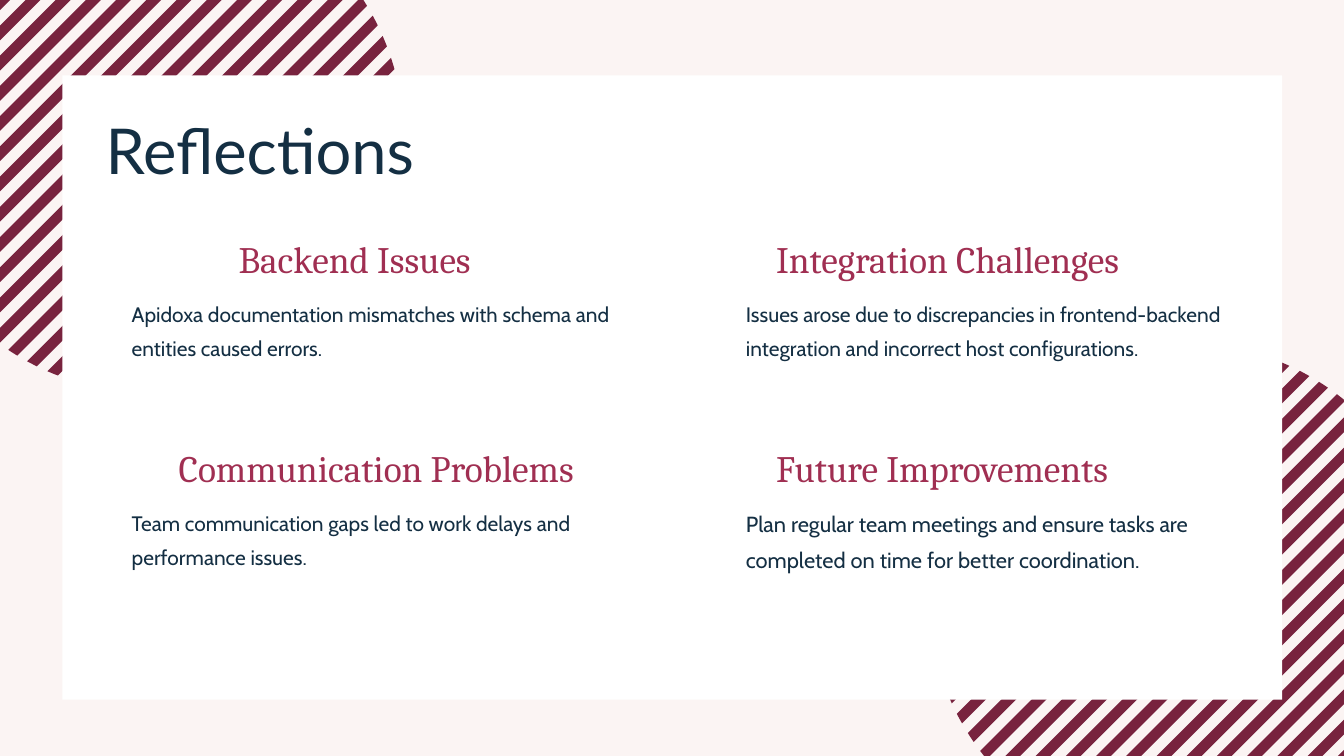
from math import acos, cos, pi, sin, sqrt

from pptx import Presentation
from pptx.dml.color import RGBColor as Rgb
from pptx.enum.shapes import MSO_SHAPE as Kind
from pptx.enum.text import MSO_AUTO_SIZE as Fit
from pptx.util import Inches, Pt

# Square grid cells: 20 columns by 11.25 rows
COLS, ROWS = 20, 11.25
CELL = Inches(1)

PINK, WHITE, WINE, ROSE, NAVY = "FBF4F3", "FFFFFF", "78233E", "A02F52", "142F43"

# Striped discs
RADIUS = 3.79
BANDS, START, STEP, THICK = 24, -5.24, 0.45, 0.22
ARC = 6

# Text rows: heading top, body top
TOPS = [(3.41, 4.35), (6.51, 7.46)]

# Heading, its column and width; body, its column, width, size and leading
TOPICS = [
    [("Backend Issues", 3.55, 3.78,
      "Apidoxa documentation mismatches with schema and entities caused errors.",
      1.96, 7.81, 22.4, 36.8),
     ("Integration Challenges", 11.55, 5.94,
      "Issues arose due to discrepancies in frontend-backend integration "
      "and incorrect host configurations.",
      11.1, 7.44, 22.4, 36.8)],
    [("Communication Problems", 2.66, 6.63,
      "Team communication gaps led to work delays and performance issues.",
      1.96, 8.04, 22.4, 36.8),
     ("Future Improvements", 11.55, 5.94,
      "Plan regular team meetings and ensure tasks are completed on time "
      "for better coordination.",
      11.1, 7.14, 23.4, 38.3)],
]


def grid(n):
    return round(n * CELL)


def paint(fill, color):
    fill.solid()
    fill.fore_color.rgb = Rgb.from_string(color)


def finish(shape, color):
    shape.shadow.inherit = False
    paint(shape.fill, color)
    shape.line.fill.background()


def band(x, y, low):
    """Outline of one diagonal stripe, cut off by the disc's edge."""
    a, b = (acos(u / (RADIUS * sqrt(2))) for u in (low, low + THICK))
    turns = [a + (b - a) * i / ARC for i in range(ARC + 1)]
    angles = [pi / 4 + t for t in turns] + [pi / 4 - t for t in reversed(turns)]
    return [(grid(x + RADIUS * cos(t)), grid(y + RADIUS * sin(t))) for t in angles]


def add_disc(slide, x, y):
    bands = [band(x, y, START + i * STEP) for i in range(BANDS)]
    pen = slide.shapes.build_freeform(*bands[0][0])
    for points in bands:
        pen.move_to(*points[0])
        pen.add_line_segments(points[1:], close=True)
    finish(pen.convert_to_shape(), WINE)


def add_panel(slide, x, y, wide, high):
    box = map(grid, (x, y, wide, high))
    finish(slide.shapes.add_shape(Kind.RECTANGLE, *box), WHITE)


def add_text(slide, text, x, y, wide, high, font, size, lead, color):
    frame = slide.shapes.add_textbox(*map(grid, (x, y, wide, high))).text_frame
    frame.word_wrap = True
    frame.auto_size = Fit.SHAPE_TO_FIT_TEXT
    frame.margin_left = frame.margin_right = 0
    frame.margin_top = frame.margin_bottom = 0
    line = frame.paragraphs[0]
    line.line_spacing = Pt(lead)
    run = line.add_run()
    run.text = text
    run.font.name = font
    run.font.size = Pt(size)
    run.font.color.rgb = Rgb.from_string(color)


def add_topic(slide, tops, topic):
    head, x, wide, body, left, span, size, lead = topic
    add_text(slide, head, x, tops[0], wide, 0.73, "Cambria", 40, 56, ROSE)
    add_text(slide, body, left, tops[1], span, 1, "Cabin", size, lead, NAVY)


def main():
    deck = Presentation()
    deck.slide_width, deck.slide_height = grid(COLS), grid(ROWS)
    slide = deck.slides.add_slide(deck.slide_layouts[6])
    paint(slide.background.fill, PINK)

    # Backdrop
    add_disc(slide, 17.61, 8.89)
    add_disc(slide, 2.22, 2.05)
    add_panel(slide, 0.93, 1.12, 18.15, 9.29)

    # Title and topics
    add_text(slide, "Reflections", 1.57, 1.47, 6.81, 1.26, "Lato", 67.7, 94.8, NAVY)
    for tops, row in zip(TOPS, TOPICS):
        for topic in row:
            add_topic(slide, tops, topic)

    deck.save("out.pptx")


if __name__ == "__main__":
    main()
